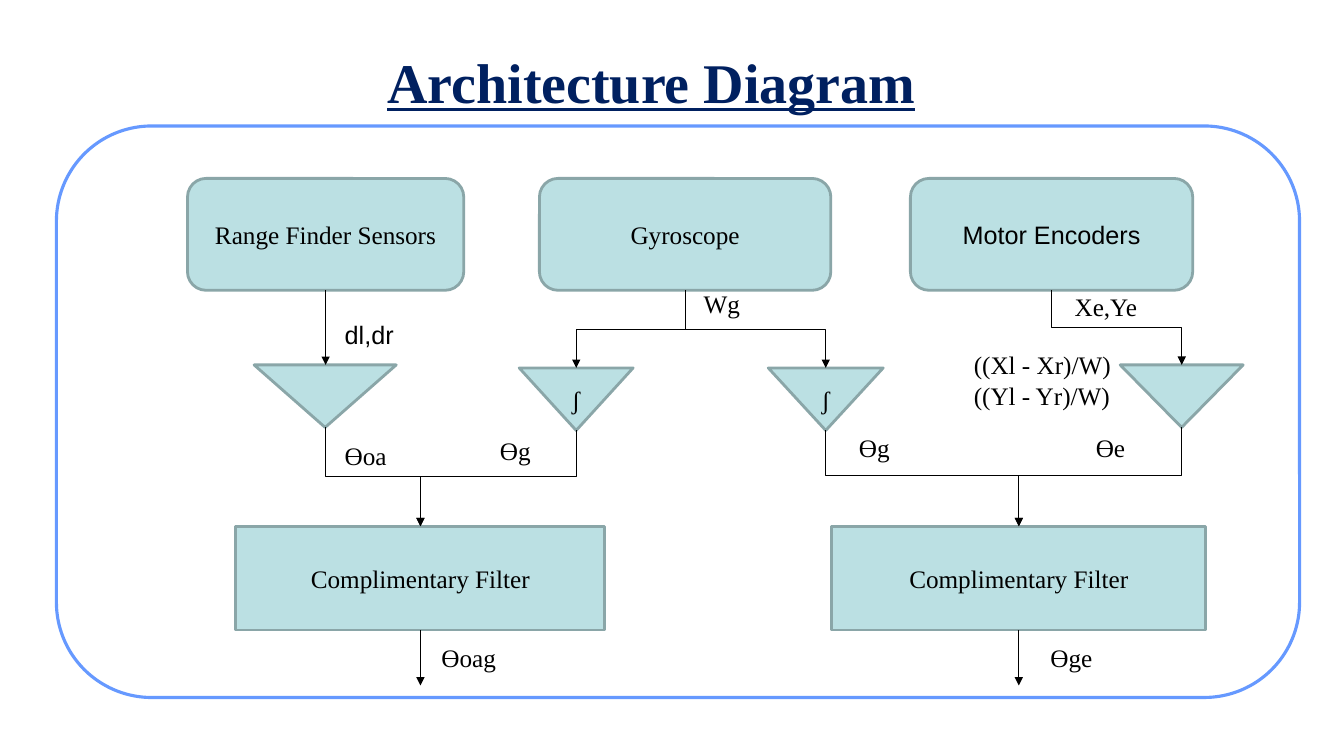
from lxml.etree import SubElement
from pptx import Presentation
from pptx.dml.color import RGBColor
from pptx.enum.shapes import MSO_CONNECTOR, MSO_SHAPE
from pptx.enum.text import MSO_ANCHOR, PP_ALIGN
from pptx.oxml.ns import qn
from pptx.util import Pt

EMU_PER_PX = 9144
TITLE_ONLY = 5


def px(length):
    return round(length * EMU_PER_PX)


def color(value):
    return RGBColor.from_string(value)


class Diagram:
    serif = "Times New Roman"
    sans = "Arial"
    ink = "000000"
    title_ink = "002060"
    node_fill = "BBE0E3"
    node_line = "8AA6A8"
    panel_line = "6699FF"

    def __init__(self, slide):
        self.slide = slide

    def set_text(self, text_frame, text, font=serif, size=18, ink=ink, align=PP_ALIGN.CENTER):
        text_frame.word_wrap = True
        text_frame.text = text
        for paragraph in text_frame.paragraphs:
            paragraph.alignment = align
            for run in paragraph.runs:
                run.font.name = font
                run.font.size = Pt(size)
                run.font.color.rgb = color(ink)

    def title(self, text, *bounds):
        shape = self.slide.shapes.title
        shape.left, shape.top, shape.width, shape.height = map(px, bounds)
        self.set_text(shape.text_frame, text, size=40, ink=self.title_ink)
        shape.text_frame.vertical_anchor = MSO_ANCHOR.MIDDLE
        font = shape.text_frame.paragraphs[0].runs[0].font
        font.bold = font.underline = True

    def shape(self, kind, bounds, fill=node_fill, line=node_line, width=2):
        shape = self.slide.shapes.add_shape(kind, *map(px, bounds))
        shape.shadow.inherit = False
        shape.fill.solid()
        shape.fill.fore_color.rgb = color(fill)
        shape.line.color.rgb = color(line)
        shape.line.width = Pt(width)
        return shape

    def panel(self, *bounds):
        self.shape(MSO_SHAPE.ROUNDED_RECTANGLE, bounds, "FFFFFF", self.panel_line, 2.25)

    def box(self, kind, text, bounds, font=serif):
        shape = self.shape(kind, bounds)
        self.set_text(shape.text_frame, text, font)
        shape.text_frame.vertical_anchor = MSO_ANCHOR.MIDDLE
        return shape

    def triangle(self, bounds, text=""):
        shape = self.shape(MSO_SHAPE.FLOWCHART_MERGE, bounds)
        if text:
            frame = shape.text_frame
            self.set_text(frame, text)
            frame.vertical_anchor = MSO_ANCHOR.TOP
            frame.margin_top, frame.margin_bottom = px(16), 0
        return shape

    def label(self, text, bounds, font=serif):
        text_box = self.slide.shapes.add_textbox(*map(px, bounds))
        self.set_text(text_box.text_frame, text, font, align=PP_ALIGN.LEFT)

    def arrow(self, kind, *ends):
        connector = self.slide.shapes.add_connector(kind, *ends)
        connector.line.color.rgb = color(self.ink)
        connector.line.width = Pt(0.75)
        properties = connector._element.spPr
        SubElement(properties.find(qn("a:ln")), qn("a:tailEnd"), type="triangle")
        SubElement(properties, qn("a:effectLst"))
        return properties

    def drop(self, upper, length):
        x = upper.left + upper.width // 2
        y = upper.top + upper.height
        self.arrow(MSO_CONNECTOR.STRAIGHT, x, y, x, y + px(length))

    def elbow(self, upper, lower, bend=50):
        """Run down, across at bend percent of the drop, then down again."""
        start_x = upper.left + upper.width // 2
        end_x = lower.left + lower.width // 2
        start_y = upper.top + upper.height
        center_x, center_y = (start_x + end_x) // 2, (start_y + lower.top) // 2
        half_drop = (lower.top - start_y) // 2
        half_run = abs(end_x - start_x) // 2
        # The elbow preset starts sideways, so it is turned about its centre.
        properties = self.arrow(
            MSO_CONNECTOR.ELBOW, center_x - half_drop, center_y - half_run,
            center_x + half_drop, center_y + half_run)
        transform = properties.find(qn("a:xfrm"))
        if end_x > start_x:
            transform.set("rot", "16200000")
            transform.set("flipH", "1")
        else:
            transform.set("rot", "5400000")
        adjustments = properties.find(qn("a:prstGeom")).find(qn("a:avLst"))
        SubElement(adjustments, qn("a:gd"), name="adj1", fmla=f"val {bend * 1000}")


def main():
    presentation = Presentation()
    presentation.slide_width, presentation.slide_height = px(1333), px(750)
    slide = presentation.slides.add_slide(presentation.slide_layouts[TITLE_ONLY])
    diagram = Diagram(slide)
    diagram.title("Architecture Diagram", 233, 42, 826, 77)
    diagram.panel(56, 125, 1233, 567)

    rounded, plain = MSO_SHAPE.ROUNDED_RECTANGLE, MSO_SHAPE.RECTANGLE
    range_finder = diagram.box(rounded, "Range Finder Sensors", (186, 177, 274, 111))
    gyroscope = diagram.box(rounded, "Gyroscope", (535, 177, 289, 111))
    encoders = diagram.box(rounded, "Motor Encoders", (903, 177, 280, 111), diagram.sans)
    left_filter = diagram.box(plain, "Complimentary Filter", (234, 522, 366, 103))
    right_filter = diagram.box(plain, "Complimentary Filter", (825, 522, 371, 103))

    range_angle = diagram.triangle((252, 362, 141, 62))
    left_integral = diagram.triangle((515, 365, 113, 62), "ʃ")
    right_integral = diagram.triangle((762, 365, 114, 62), "ʃ")
    encoder_angle = diagram.triangle((1111, 362, 122, 62))

    diagram.drop(range_finder, 74)
    for upper, lower, bend in (
        (gyroscope, left_integral, 50),
        (gyroscope, right_integral, 50),
        (encoders, encoder_angle, 50),
        (range_angle, left_filter, 50),
        (left_integral, left_filter, 48),
        (right_integral, right_filter, 47),
        (encoder_angle, right_filter, 49),
    ):
        diagram.elbow(upper, lower, bend)
    for output in (left_filter, right_filter):
        diagram.drop(output, 55)

    for text, bounds in (
        ("Wg", (688, 281, 85, 40)),
        ("Xe,Ye", (1056, 284, 114, 40)),
        ("((Xl - Xr)/W)\n((Yl - Yr)/W)", (956, 342, 167, 71)),
        ("Ɵoa", (332, 432, 65, 40)),
        ("Ɵg", (486, 427, 62, 40)),
        ("Ɵg", (842, 424, 62, 40)),
        ("Ɵe", (1077, 424, 62, 40)),
        ("Ɵoag", (428, 632, 74, 40)),
        ("Ɵge", (1032, 632, 65, 40)),
    ):
        diagram.label(text, bounds)
    diagram.label("dl,dr", (332, 312, 99, 40), diagram.sans)

    presentation.save("out.pptx")


if __name__ == "__main__":
    main()
